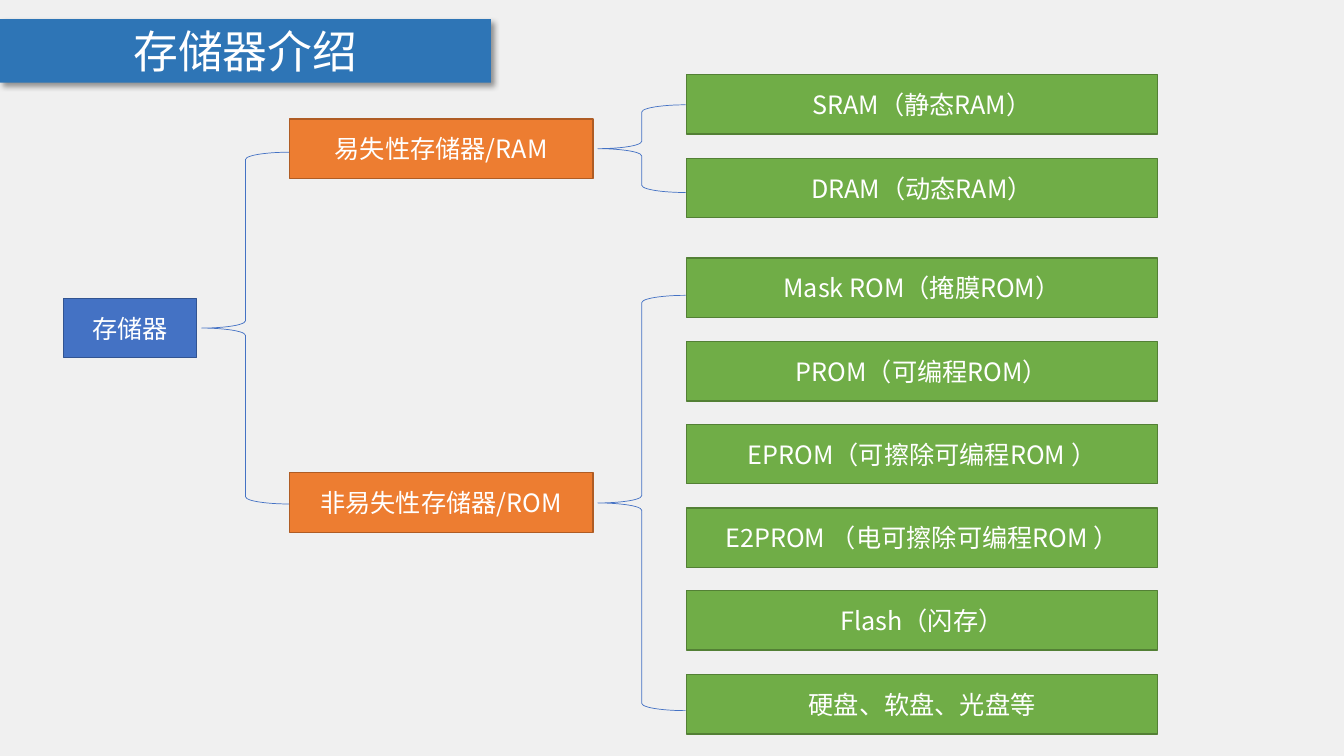
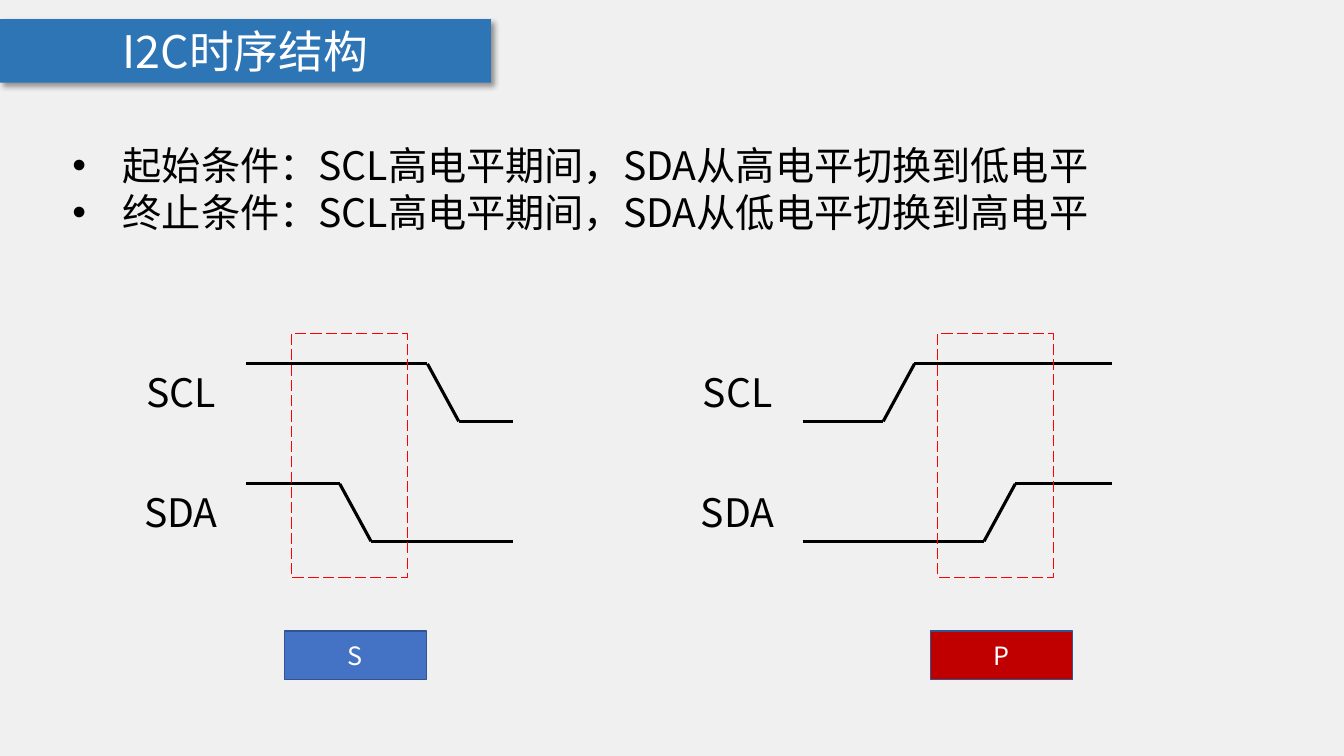
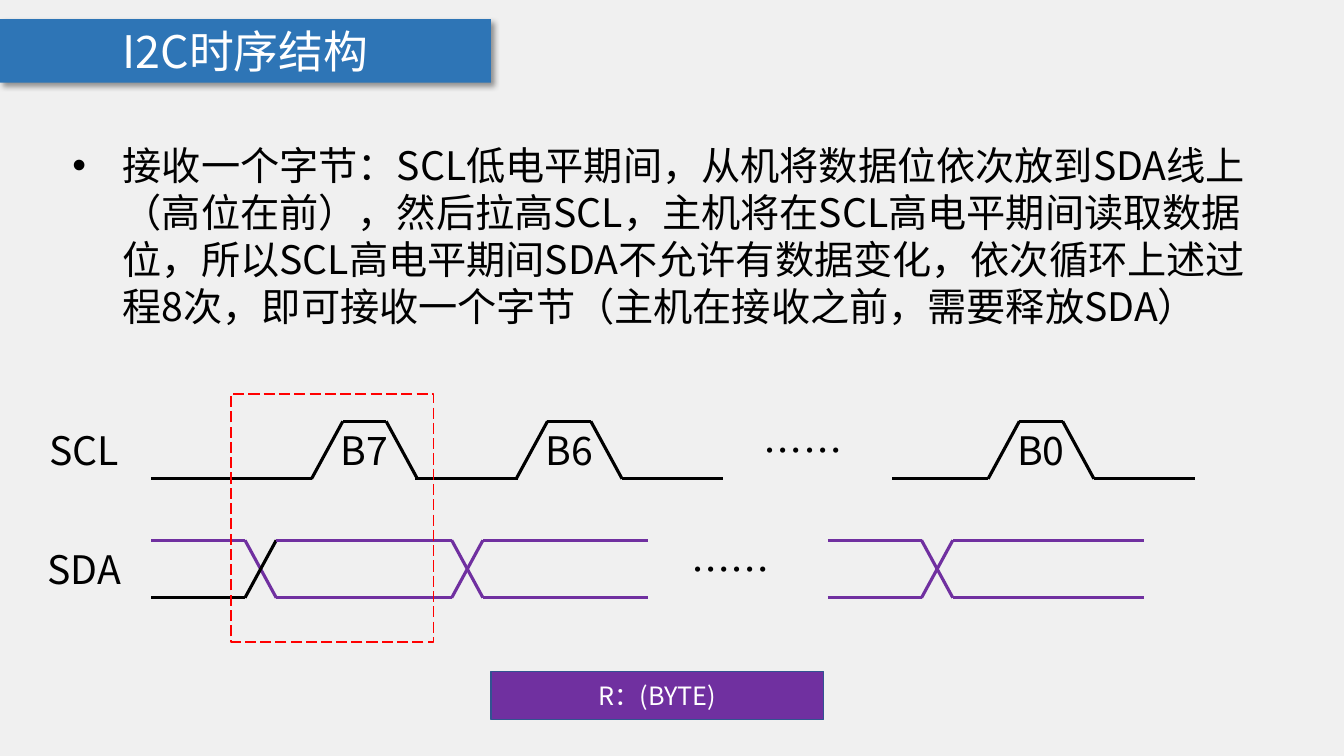
from lxml import etree
from pptx import Presentation
from pptx.dml.color import RGBColor
from pptx.enum.dml import MSO_LINE
from pptx.enum.shapes import MSO_CONNECTOR, MSO_SHAPE
from pptx.enum.text import MSO_ANCHOR, MSO_AUTO_SIZE, PP_ALIGN
from pptx.oxml import parse_xml
from pptx.oxml.ns import nsdecls, qn
from pptx.util import Pt

PX = 9144  # 100 px to the inch
FONT = "Noto Sans CJK SC"
BACKGROUND, BAND = "F0F0F0", "2E75B6"
WHITE, BLACK, RED, DARK_RED, PURPLE = "FFFFFF", "000000", "FF0000", "C00000", "7030A0"
BLUE, BLUE_EDGE = "4472C4", "325491"
ORANGE, ORANGE_EDGE = "ED7D31", "AF5C24"
GREEN, GREEN_EDGE = "70AD47", "538035"
SLOPE, SWING = 31, 57  # width and height of a signal edge
LABEL_W = 129


def rgb(color):
    return RGBColor.from_string(color)


def emu(*lengths):
    return [n * PX for n in lengths]


class Deck:
    def __init__(self):
        self.prs = Presentation()
        self.prs.slide_width, self.prs.slide_height = emu(1333, 750)
        fill = self.prs.slide_master.background.fill
        fill.solid()
        fill.fore_color.rgb = rgb(BACKGROUND)

    def slide(self, title):
        """Start a slide with its title in the shadowed band."""
        self.s = self.prs.slides.add_slide(self.prs.slide_layouts[5])
        sp = self.s.shapes.title
        sp.left, sp.top, sp.width, sp.height = emu(0, 19, 487, 63)
        sp.fill.solid()
        sp.fill.fore_color.rgb = rgb(BAND)
        sp._element.spPr.append(parse_xml(
            f'<a:effectLst {nsdecls("a")}><a:outerShdw blurRad="50800" dist="38100" '
            f'dir="2700000" algn="tl" rotWithShape="0"><a:srgbClr val="{BLACK}">'
            '<a:alpha val="40000"/></a:srgbClr></a:outerShdw></a:effectLst>'))
        self.set_text(sp, title, 32, WHITE)

    def set_text(self, sp, text, size, color, align=PP_ALIGN.CENTER, anchor=MSO_ANCHOR.MIDDLE):
        tf = sp.text_frame
        tf.text = text
        tf.word_wrap = True
        tf.auto_size = MSO_AUTO_SIZE.NONE
        tf.vertical_anchor = anchor
        for p in tf.paragraphs:
            p.alignment = align
            for r in p.runs:
                r.font.size = Pt(size)
                r.font.name = FONT
                r.font.color.rgb = rgb(color)
                ea = etree.SubElement(r._r.get_or_add_rPr(), qn("a:ea"))
                ea.set("typeface", FONT)
        return tf

    def shape(self, kind, x, y, w, h, edge, width=1, fill=None):
        sp = self.s.shapes.add_shape(kind, *emu(x, y, w, h))
        sp.shadow.inherit = False
        if fill:
            sp.fill.solid()
            sp.fill.fore_color.rgb = rgb(fill)
        else:
            sp.fill.background()
        sp.line.color.rgb = rgb(edge)
        sp.line.width = Pt(width)
        return sp

    def box(self, text, x, y, w, h, fill, edge=BLUE_EDGE):
        sp = self.shape(MSO_SHAPE.RECTANGLE, x, y, w, h, edge, fill=fill)
        self.set_text(sp, text, 18, WHITE)

    def brace(self, x, y, h):
        self.shape(MSO_SHAPE.LEFT_BRACE, x, y, 87, h, BLUE, 0.5)

    def frame(self, x, y, w, h):
        sp = self.shape(MSO_SHAPE.RECTANGLE, x, y, w, h, RED)
        sp.line.dash_style = MSO_LINE.LONG_DASH

    def text(self, text, x, y, w, h, align=PP_ALIGN.CENTER):
        sp = self.s.shapes.add_textbox(*emu(x, y, w, h))
        tf = self.set_text(sp, text, 28, BLACK, align, MSO_ANCHOR.TOP)
        for p in tf.paragraphs:
            p.line_spacing = Pt(33.6)
        return tf

    def label(self, text, x, y, w=LABEL_W):
        self.text(text, x, y, w, SWING)

    def bullets(self, text, h):
        tf = self.text(text, 62, 135, 1208, h, PP_ALIGN.LEFT)
        for p in tf.paragraphs:
            pPr = p._p.get_or_add_pPr()
            pPr.set("marL", str(50 * PX))
            pPr.set("indent", str(-50 * PX))
            etree.SubElement(pPr, qn("a:buFont")).set("typeface", "Arial")
            etree.SubElement(pPr, qn("a:buChar")).set("char", "•")

    def wave(self, points, color=BLACK):
        """Join the points by straight lines."""
        for start, end in zip(points, points[1:]):
            c = self.s.shapes.add_connector(MSO_CONNECTOR.STRAIGHT, *emu(*start, *end))
            c.line.color.rgb = rgb(color)
            c.line.width = Pt(2.25)
            etree.SubElement(c._element.spPr, qn("a:effectLst"))

    def step(self, left, edge, right, y_from, y_to, color=BLACK):
        self.wave([(left, y_from), (edge, y_from), (edge + SLOPE, y_to), (right, y_to)], color)

    def pulse(self, name, left, rise, right, y):
        top, low = rise + SLOPE, y + SWING
        self.wave([(left, low), (rise, low), (top, y), (top + 43, y),
                   (top + 43 + SLOPE, low), (right, low)])
        self.label(name, rise + 6, y, 93)

    def crossing(self, left, edge, right, y, lead=PURPLE):
        """Draw two crossing levels; lead colours the rising one up to its top."""
        low = y + SWING
        self.step(left, edge, right, y, low, PURPLE)
        self.wave([(left, low), (edge, low), (edge + SLOPE, y)], lead)
        self.wave([(edge + SLOPE, y), (right, y)], PURPLE)


def memory_tree(deck):
    deck.slide("存储器介绍")
    deck.box("存储器", 63, 296, 132, 59, BLUE)
    deck.brace(200, 151, 349)
    branches = [
        ("易失性存储器/RAM", 118, 104, 87, 74, ["SRAM（静态RAM）", "DRAM（动态RAM）"]),
        ("非易失性存储器/ROM", 469, 293, 412, 256,
         ["Mask ROM（掩膜ROM）", "PROM（可编程ROM）", "EPROM（可擦除可编程ROM ）",
          "E2PROM （电可擦除可编程ROM ）", "Flash（闪存）", "硬盘、软盘、光盘等"]),
    ]
    for name, y, brace_y, brace_h, leaf_y, leaves in branches:
        deck.box(name, 287, y, 301, 59, ORANGE, ORANGE_EDGE)
        deck.brace(593, brace_y, brace_h)
        for i, leaf in enumerate(leaves):
            deck.box(leaf, 681, leaf_y + round(i * 82.6), 467, 59, GREEN, GREEN_EDGE)


def start_stop(deck):
    deck.slide("I2C时序结构")
    deck.bullets("起始条件：SCL高电平期间，SDA从高电平切换到低电平\n"
                 "终止条件：SCL高电平期间，SDA从低电平切换到高电平", 104)
    conditions = [
        ("S", BLUE, 244, 509, 289, 424, 337, False),
        ("P", DARK_RED, 796, 1103, 930, 876, 976, True),
    ]
    for name, color, left, right, frame_x, scl_edge, sda_edge, rising in conditions:
        for signal, y, edge in (("SCL", 361, scl_edge), ("SDA", 480, sda_edge)):
            deck.label(signal, left - LABEL_W, y)
            levels = (y + SWING, y) if rising else (y, y + SWING)
            deck.step(left, edge, right, *levels)
        deck.frame(frame_x, 331, 115, 242)
        deck.box(name, frame_x - 7, 626, 141, 48, color)


def receive_byte(deck):
    scl_y, sda_y = 418, 536
    deck.slide("I2C时序结构")
    deck.bullets("接收一个字节：SCL低电平期间，从机将数据位依次放到SDA线上（高位在前），"
                 "然后拉高SCL，主机将在SCL高电平期间读取数据位，所以SCL高电平期间SDA"
                 "不允许有数据变化，依次循环上述过程8次，即可接收一个字节"
                 "（主机在接收之前，需要释放SDA）", 246)
    for signal, y, dots_x in (("SCL", scl_y, 732), ("SDA", sda_y, 660)):
        deck.label(signal, 19, y)
        deck.label("……", dots_x, y)
    for name, left, rise, right in (("B7", 150, 309, 514), ("B6", 412, 512, 717),
                                    ("B0", 885, 980, 1185)):
        deck.pulse(name, left, rise, right, scl_y)
    for left, edge, right, lead in ((150, 243, 374, BLACK), (355, 448, 643, PURPLE),
                                    (821, 914, 1135, PURPLE)):
        deck.crossing(left, edge, right, sda_y, lead)
    deck.frame(229, 391, 201, 246)
    deck.box("R：(BYTE)", 487, 666, 330, 48, PURPLE)


def main():
    deck = Deck()
    memory_tree(deck)
    start_stop(deck)
    receive_byte(deck)
    deck.prs.save("out.pptx")


if __name__ == "__main__":
    main()
